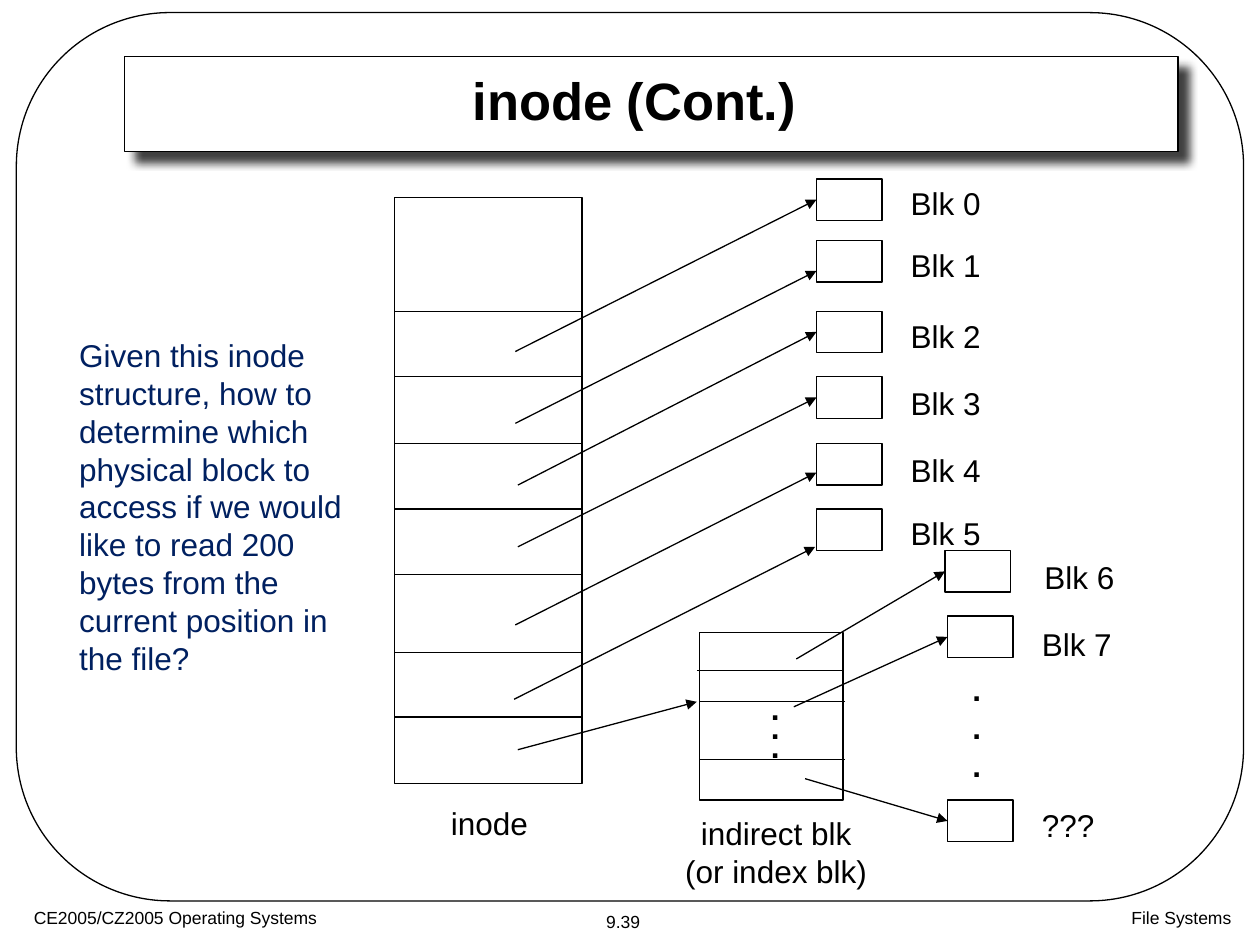
"""Build a slide showing how an inode points to direct and indirect blocks."""
from dataclasses import dataclass

from lxml.etree import SubElement
from pptx import Presentation
from pptx.dml.color import RGBColor
from pptx.enum.shapes import MSO_CONNECTOR, MSO_SHAPE
from pptx.enum.text import MSO_ANCHOR, MSO_AUTO_SIZE, PP_ALIGN
from pptx.oxml import parse_xml
from pptx.oxml.ns import nsdecls, qn
from pptx.util import Inches, Pt


@dataclass(frozen=True)
class Theme:
    font: str = "Arial"
    black: RGBColor = RGBColor(0, 0, 0)
    white: RGBColor = RGBColor(255, 255, 255)
    navy: RGBColor = RGBColor(0, 0x20, 0x60)
    title: Pt = Pt(30)
    body: Pt = Pt(18)
    footer: Pt = Pt(10)
    line: Pt = Pt(0.75)


theme = Theme()
prs = Presentation()
prs.slide_width, prs.slide_height = Inches(10), Inches(7.5)
s = prs.slides.add_slide(prs.slide_layouts[6])


def add_text(text, box, size=theme.body, color=theme.black, bold=False, align=PP_ALIGN.LEFT,
             wrap=False, anchor=MSO_ANCHOR.TOP, spacing=None, grow=True):
    tf = s.shapes.add_textbox(*map(Inches, box)).text_frame
    tf.text = text
    tf.word_wrap = wrap
    tf.vertical_anchor = anchor
    tf.auto_size = MSO_AUTO_SIZE.SHAPE_TO_FIT_TEXT if grow else MSO_AUTO_SIZE.NONE
    for p in tf.paragraphs:
        p.alignment = align
        p.line_spacing = spacing
        for r in p.runs:
            r.font.name, r.font.size, r.font.bold = theme.font, size, bold
            r.font.color.rgb = color


def add_line(x1, y1, x2, y2, arrow=False, target=None):
    sp = s.shapes.add_connector(MSO_CONNECTOR.STRAIGHT, *map(Inches, (x1, y1, x2, y2)))
    sp.line.color.rgb, sp.line.width = theme.black, theme.line
    if arrow:
        SubElement(sp.line._get_or_add_ln(), qn("a:tailEnd"), type="triangle")
    SubElement(sp._element.spPr, qn("a:effectLst"))
    if target is not None:
        sp.end_connect(target, 1)


blocks = {
    "Blk 0": (6.48, 1.42), "Blk 1": (6.48, 1.91), "Blk 2": (6.48, 2.47),
    "Blk 3": (6.48, 2.99), "Blk 4": (6.48, 3.52), "Blk 5": (6.48, 4.04),
    "Blk 6": (7.5, 4.37), "Blk 7": (7.52, 4.89), "???": (7.52, 6.35),
}
outlines = {
    "frame": (0.13, 0.1, 9.74, 7.05),
    "inode": (3.13, 1.57, 1.49, 4.65),
    "index": (5.55, 5.02, 1.14, 1.33),
    **{name: (x, y, 0.52, 0.33) for name, (x, y) in blocks.items()},
    "title": (0.99, 0.45, 8.36, 0.75),
}
shapes = {}
for name, box in outlines.items():
    kind = MSO_SHAPE.ROUNDED_RECTANGLE if name == "frame" else MSO_SHAPE.RECTANGLE
    sp = s.shapes.add_shape(kind, *map(Inches, box))
    sp.shadow.inherit = False
    sp.fill.background()
    sp.line.color.rgb, sp.line.width = theme.black, theme.line
    shapes[name] = sp
shapes["frame"].adjustments[0] = 0.173

title_bar = shapes["title"]
title_bar.fill.solid()
title_bar.fill.fore_color.rgb = theme.white
title_bar._element.spPr.find(qn("a:effectLst")).append(parse_xml(
    f'<a:outerShdw {nsdecls("a")} blurRad="{Pt(5)}" dist="{Pt(8.5)}" dir="2700000" algn="tl" '
    f'rotWithShape="0"><a:srgbClr val="{theme.black}"><a:alpha val="75000"/></a:srgbClr></a:outerShdw>'))

for y in (2.47, 2.99, 3.52, 4.04, 4.56, 5.18, 5.69):
    add_line(3.13, y, 4.61, y)
for x, y in ((5.53, 5.32), (5.55, 5.57), (5.55, 6.03)):
    add_line(x, y, x + 1.16, y)

for start, name in (((4.09, 2.79), "Blk 0"), ((4.11, 3.85), "Blk 2"), ((4.11, 4.34), "Blk 3"),
                    ((6.32, 5.23), "Blk 6"), ((6.3, 5.61), "Blk 7"), ((6.39, 6.18), "???")):
    add_line(*start, *blocks[name], arrow=True, target=shapes[name])
for ends in ((4.09, 3.36, 6.48, 2.15), (4.09, 4.96, 6.48, 3.75),
             (4.08, 5.55, 6.47, 4.34), (4.11, 5.95, 5.53, 5.57)):
    add_line(*ends, arrow=True)

labels = {
    "Blk 0": (7.13, 1.41), "Blk 1": (7.13, 1.9), "Blk 2": (7.13, 2.47),
    "Blk 3": (7.13, 3), "Blk 4": (7.13, 3.53), "Blk 5": (7.13, 4.03),
    "Blk 6": (8.19, 4.38), "Blk 7": (8.17, 4.91), "???": (8.17, 6.35),
}
for text, (x, y) in labels.items():
    add_text(text, (x, y, 0.62 if text == "???" else 0.76, 0.4))
add_text("inode", (3.48, 6.33, 0.82, 0.4))
add_text("indirect blk\n(or index blk)", (5.33, 6.41, 1.66, 0.71), align=PP_ALIGN.CENTER)
add_text(".\n.\n.", (7.62, 5.27, 0.27, 1.01), bold=True)
add_text(".\n.\n.", (6.02, 5.55, 0.27, 0.58), bold=True, spacing=0.5)

add_text("inode (Cont.)", (1.27, 0.54, 7.53, 0.5), theme.title, bold=True, align=PP_ALIGN.CENTER,
         wrap=True, anchor=MSO_ANCHOR.MIDDLE, grow=False)
add_text("Given this inode structure, how to determine which physical block to access if we would "
         "like to read 200 bytes from the current position in the file?",
         (0.53, 2.62, 2.41, 2.83), color=theme.navy, wrap=True)

add_text("CE2005/CZ2005 Operating Systems", (0.17, 7.15, 3.17, 0.35), theme.footer,
         wrap=True, grow=False)
add_text("9.39", (4.7, 7.18, 0.49, 0.27), theme.footer, align=PP_ALIGN.CENTER,
         anchor=MSO_ANCHOR.MIDDLE)
add_text("File Systems", (6.7, 7.15, 3.17, 0.35), theme.footer, align=PP_ALIGN.RIGHT,
         wrap=True, grow=False)

prs.save("out.pptx")
